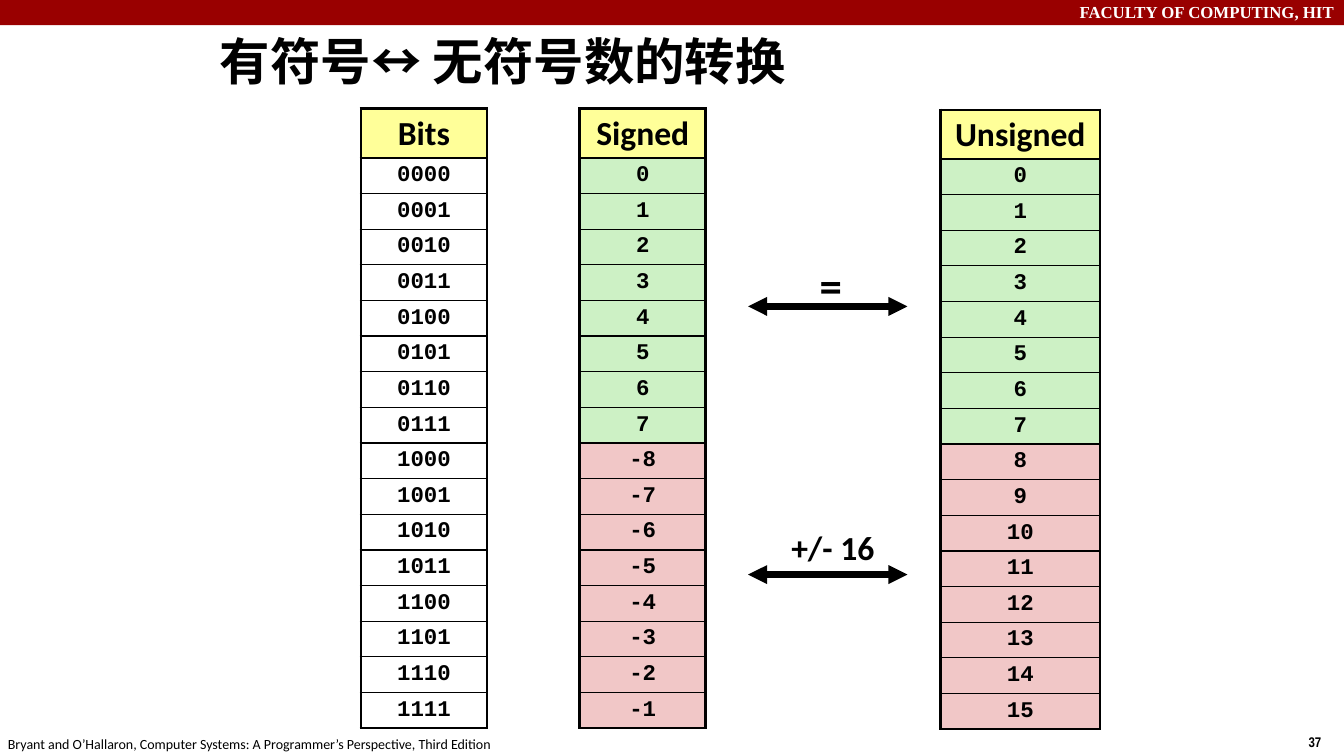
from lxml.etree import SubElement
from pptx import Presentation
from pptx.dml.color import RGBColor
from pptx.enum.shapes import MSO_CONNECTOR, MSO_SHAPE
from pptx.enum.text import MSO_ANCHOR, PP_ALIGN
from pptx.oxml.ns import qn
from pptx.util import Inches, Pt

COLORS = {
    "black": "000000",
    "white": "FFFFFF",
    "red": "990000",
    "yellow": "FFFF99",
    "green": "CDF1C5",
    "pink": "F1C7C7",
}


def write(frame, text, size=10, font="Calibri", color="black", bold=True,
          align=PP_ALIGN.LEFT, space=None):
    para = frame.paragraphs[0]
    para.alignment = align
    para.line_spacing = space
    run = para.add_run()
    run.text = text
    run.font.size = Pt(size)
    run.font.name = font
    run.font.bold = bold
    run.font.color.rgb = RGBColor.from_string(COLORS[color])


def edge(cell, side, width):
    """Draw one black border of a cell; side is L, R, T or B."""
    line = SubElement(cell._tc.get_or_add_tcPr(), qn(f"a:ln{side}"), w=str(Pt(width)))
    fill = SubElement(line, qn("a:solidFill"))
    SubElement(fill, qn("a:srgbClr"), val=COLORS["black"])


deck = Presentation()
deck.slide_width = Inches(13.33)
deck.slide_height = Inches(7.5)
slide = deck.slides.add_slide(deck.slide_layouts[6])
shapes = slide.shapes

# Top band
band = shapes.add_shape(MSO_SHAPE.RECTANGLE, 0, 0, deck.slide_width, Inches(0.25))
band.shadow.inherit = False
band.fill.solid()
band.fill.fore_color.rgb = RGBColor.from_string(COLORS["red"])
band.line.fill.background()

# Tables: left, top, width, title, values, colours of lower and upper half
codes = range(16)
tables = [
    (5.75, 1.08, 1.25, "Signed", [n if n < 8 else n - 16 for n in codes], ("green", "pink")),
    (9.33, 1.09, 1.58, "Unsigned", codes, ("green", "pink")),
    (3.58, 1.08, 1.25, "Bits", [f"{n:04b}" for n in codes], (None, None)),
]
head, body = 0.48, 5.66
for left, top, width, title, values, halves in tables:
    table = shapes.add_table(17, 1, Inches(left), Inches(top),
                             Inches(width), Inches(head + body)).table
    table.first_row = False
    table.horz_banding = False
    for i, text in enumerate([title, *values]):
        table.rows[i].height = Inches(body / 16 if i else head)
        cell = table.cell(i, 0)
        cell.margin_left = cell.margin_right = Inches(0.05)
        cell.margin_top = cell.margin_bottom = Inches(0.05)
        size, font = (16, "Courier New") if i else (24, "Calibri")
        write(cell.text_frame, str(text), size=size, font=font,
              align=PP_ALIGN.CENTER, space=0.95)
        edge(cell, "L", 2.25)
        edge(cell, "R", 2.25)
        edge(cell, "T", 1 if i else 2.25)
        edge(cell, "B", 2.25 if i == 16 else 1)
        shade = halves[i > 8] if i else "yellow"
        if shade:
            cell.fill.solid()
            cell.fill.fore_color.rgb = RGBColor.from_string(COLORS[shade])
        else:
            cell.fill.background()

# Double arrows
for y in (3.04, 5.7):
    arrow = shapes.add_connector(MSO_CONNECTOR.STRAIGHT, Inches(9), Inches(y),
                                 Inches(7.42), Inches(y))
    arrow.line.width = Pt(4.5)
    arrow.line.color.rgb = RGBColor.from_string(COLORS["black"])
    line = arrow.line._get_or_add_ln()
    for end in ("head", "tail"):
        SubElement(line, qn(f"a:{end}End"), type="triangle")
    SubElement(arrow._element.spPr, qn("a:effectLst"))

# Text boxes: place, side and top insets, wrap, text, format
labels = [
    ((0, -0.03, 13.33, 0.3), (0.1, 0.05), True, "FACULTY OF COMPUTING, HIT",
     dict(size=12, font="Times New Roman", color="white", align=PP_ALIGN.RIGHT)),
    ((12.88, 7.23, 0.34, 0.27), (0.1, 0.05), False, "37", dict(font="Arial Narrow")),
    ((-0.02, 7.25, 5.08, 0.27), (0.1, 0.05), False,
     "Bryant and O’Hallaron, Computer Systems: A Programmer’s Perspective, Third Edition",
     dict(bold=False)),
    ((2.11, 0.27, 5.85, 0.66), (0.07, 0.03), False, "有符号↔ 无符号数的转换", dict(size=36)),
    ((8.08, 2.5, 0.32, 0.64), (0.05, 0.05), False, "=",
     dict(size=32, align=PP_ALIGN.CENTER)),
    ((7.75, 5.17, 1.03, 0.51), (0.1, 0.05), False, "+/- 16", dict(size=24)),
]
for place, (side, rim), wrap, text, style in labels:
    frame = shapes.add_textbox(*map(Inches, place)).text_frame
    frame.word_wrap = wrap
    frame.margin_left = frame.margin_right = Inches(side)
    frame.margin_top = frame.margin_bottom = Inches(rim)
    frame.vertical_anchor = MSO_ANCHOR.MIDDLE
    write(frame, text, **style)

deck.save("out.pptx")
